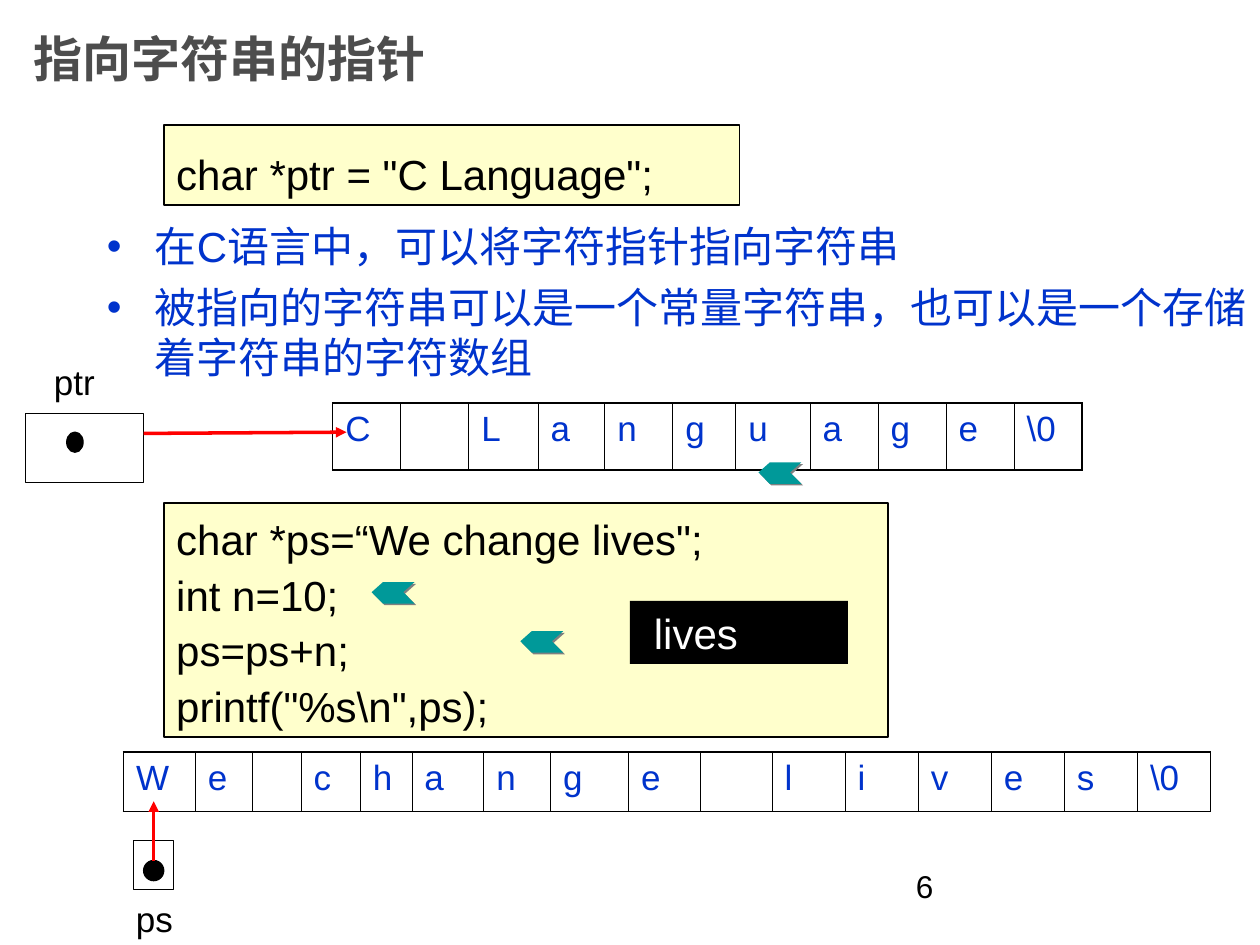
from lxml.etree import SubElement
from pptx import Presentation
from pptx.dml.color import RGBColor
from pptx.enum.shapes import MSO_CONNECTOR, MSO_SHAPE
from pptx.enum.text import MSO_ANCHOR
from pptx.oxml.ns import qn
from pptx.util import Inches, Pt

BLACK, BLUE, CREAM = "000000", "0033CC", "FFFFCC"


def color(value):
    return RGBColor.from_string(value)


def write(frame, lines, size, ink, bold=False, spacing=None, bullet=False):
    frame.word_wrap = True
    frame.text = "\n".join(lines)
    for number, paragraph in enumerate(frame.paragraphs):
        if bullet:
            properties = paragraph._p.get_or_add_pPr()
            properties.set("marL", str(Inches(0.38)))
            properties.set("indent", str(-Inches(0.38)))
            SubElement(properties, qn("a:buFont")).set("typeface", "Arial")
            SubElement(properties, qn("a:buChar")).set("char", "•")
            if number:
                paragraph.space_before = Pt(6)
        if spacing:
            paragraph.line_spacing = spacing
        paragraph.font.name = "Arial"
        paragraph.font.size = Pt(size)
        paragraph.font.bold = bold
        paragraph.font.color.rgb = color(ink)


deck = Presentation()
deck.slide_width, deck.slide_height = Inches(10), Inches(7.5)
page = deck.slides.add_slide(deck.slide_layouts[6])
shapes = page.shapes

# Title, bullets, pointer names and page number
texts = [
    ((0.17, 0, 7.5, 0.92), ["指向字符串的指针"], 28, "4D4D4D"),
    ((0.75, 1.7, 9.25, 2.05),
     ["在C语言中，可以将字符指针指向字符串",
      "被指向的字符串可以是一个常量字符串，也可以是一个存储着字符串的字符数组"], 24, BLUE),
    ((0.33, 2.81, 0.6, 0.44), ["ptr"], 20, BLACK),
    ((0.98, 7.07, 0.63, 0.43), ["ps"], 20, BLACK),
    ((7.17, 6.83, 2.33, 0.52), ["6"], 18, BLACK),
]
for place, lines, size, ink in texts:
    box = shapes.add_textbox(*map(Inches, place))
    write(box.text_frame, lines, size, ink, bold=size == 28, bullet=len(lines) > 1)
    if size == 28:
        box.text_frame.vertical_anchor = MSO_ANCHOR.MIDDLE

# Code boxes, program output, pointer cells and their dots
code = ['char *ps=“We change lives";', "int n=10;", "ps=ps+n;", 'printf("%s\\n",ps);']
boxes = [
    (MSO_SHAPE.RECTANGLE, (1.3, 0.99, 4.57, 0.64), CREAM, 1, ['char *ptr = "C Language";'], 1.35),
    (MSO_SHAPE.RECTANGLE, (1.3, 3.99, 5.75, 1.86), CREAM, 1, code, 1.1),
    (MSO_SHAPE.RECTANGLE, (5, 4.77, 1.73, 0.5), BLACK, 0, ["lives"], None),
    (MSO_SHAPE.RECTANGLE, (0.2, 3.28, 0.94, 0.55), None, 0.75, [], None),
    (MSO_SHAPE.OVAL, (0.53, 3.43, 0.13, 0.16), BLACK, 0.75, [], None),
    (MSO_SHAPE.RECTANGLE, (1.06, 6.67, 0.32, 0.39), None, 0.75, [], None),
    (MSO_SHAPE.OVAL, (1.14, 6.83, 0.16, 0.16), BLACK, 0.75, [], None),
]
for kind, place, fill, width, lines, spacing in boxes:
    box = shapes.add_shape(kind, *map(Inches, place))
    box.shadow.inherit = False
    if fill:
        box.fill.solid()
        box.fill.fore_color.rgb = color(fill)
    else:
        box.fill.background()
    if width:
        box.line.color.rgb = color(BLACK)
        box.line.width = Pt(width)
    else:
        box.line.fill.background()
    if lines:
        frame = box.text_frame
        frame.vertical_anchor = MSO_ANCHOR.TOP
        frame.margin_left = Inches(0.1 if width else 0.19)
        write(frame, lines, 24, BLACK if width else "FFFFFF", spacing=spacing)
        for paragraph in frame.paragraphs:
            paragraph.alignment = 1  # left

# Character arrays
arrays = [
    ("C Language", 2.64, 3.2, 0.53,
     [0.54, 0.54, 0.55, 0.53, 0.54, 0.5, 0.59] + [0.54] * 4),
    ("We change lives", 0.98, 5.97, 0.47,
     [0.57, 0.45, 0.39, 0.47, 0.41, 0.57, 0.53, 0.62, 0.57, 0.57] + [0.58] * 6),
]
for string, left, top, height, widths in arrays:
    letters = list(string) + ["\\0"]
    table = shapes.add_table(1, len(letters), Inches(left), Inches(top),
                             Inches(sum(widths)), Inches(height)).table
    table.first_row = table.horz_banding = False
    last = len(letters) - 1
    for index, (letter, width) in enumerate(zip(letters, widths)):
        table.columns[index].width = Inches(width)
        cell = table.cell(0, index)
        write(cell.text_frame, [letter.strip()], 20, BLUE)
        properties = cell._tc.get_or_add_tcPr()
        borders = {"a:lnL": 0.45 if index else 1.08, "a:lnR": 1.08 if index == last else 0.45,
                   "a:lnT": 1.08, "a:lnB": 1.08}
        for side, weight in borders.items():
            border = SubElement(properties, qn(side), w=str(Pt(weight)))
            SubElement(SubElement(border, qn("a:solidFill")), qn("a:srgbClr"), val=BLACK)
        cell.fill.background()

# Red pointer arrows
for ends in [(1.14, 3.44, 2.75, 3.43), (1.22, 6.83, 1.22, 6.36)]:
    arrow = shapes.add_connector(MSO_CONNECTOR.STRAIGHT, *map(Inches, ends))
    arrow.line.color.rgb = color("FF0000")
    arrow.line.width = Pt(2)
    SubElement(arrow.line._get_or_add_ln(), qn("a:tailEnd"), type="triangle")
    SubElement(arrow._element.spPr, qn("a:effectLst"))

# Teal notched markers with a grey shadow
outline = [(0.09, 0), (0, 0.08), (0.09, 0.17), (0.34, 0.17), (0.25, 0.08)]
for left, top in [(6.02, 3.67), (2.95, 4.62), (4.13, 5.01)]:
    builder = shapes.build_freeform(Inches(left + 0.34), Inches(top))
    builder.add_line_segments([(Inches(left + x), Inches(top + y)) for x, y in outline])
    marker = builder.convert_to_shape()
    marker.fill.solid()
    marker.fill.fore_color.rgb = color("009999")
    marker.line.fill.background()
    marker.shadow.inherit = False
    effects = marker._element.spPr.find(qn("a:effectLst"))
    shadow = SubElement(effects, qn("a:outerShdw"), dist=str(Pt(1.4)), dir="2700000")
    SubElement(shadow, qn("a:srgbClr"), val="808080")

deck.save("out.pptx")
